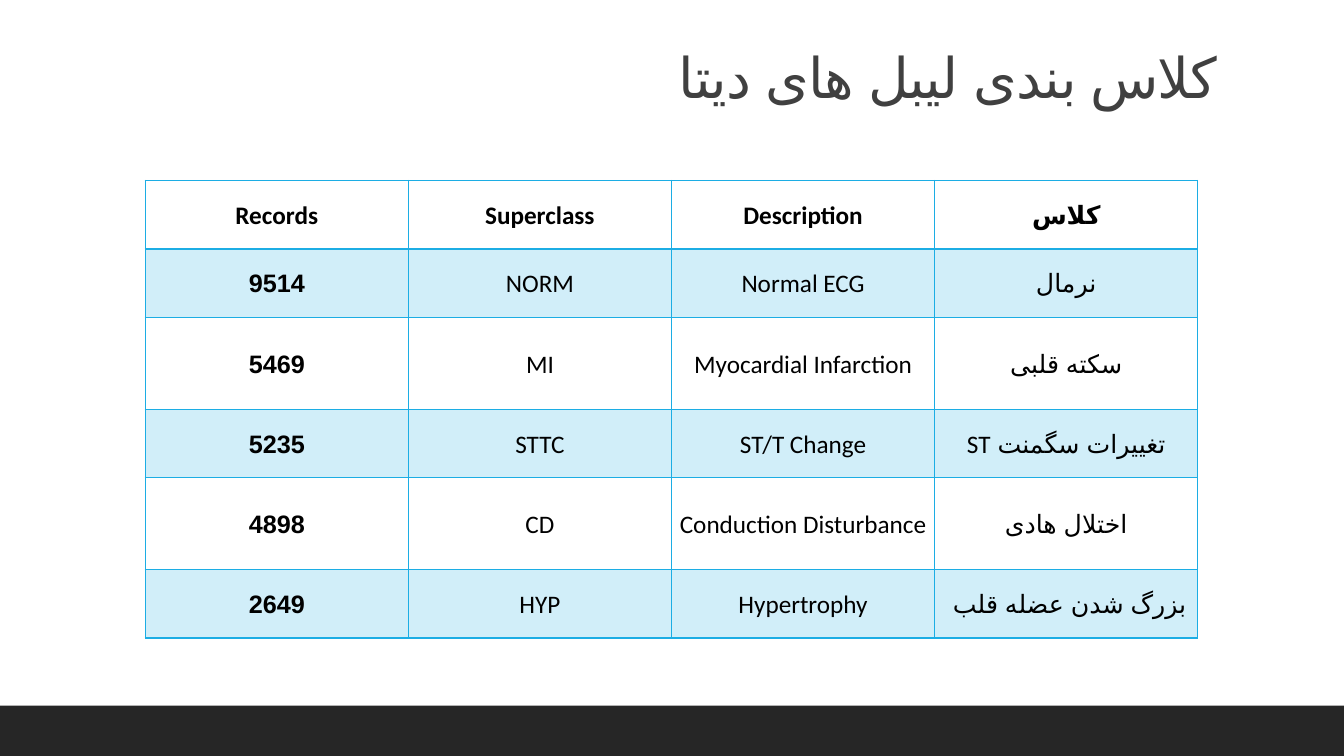
"""Build a slide with a right-to-left title and a table of ECG record classes."""
from dataclasses import dataclass

from lxml import etree
from pptx import Presentation
from pptx.dml.color import RGBColor
from pptx.enum.shapes import MSO_SHAPE
from pptx.enum.text import MSO_ANCHOR, PP_ALIGN
from pptx.oxml.ns import qn
from pptx.util import Emu, Pt

RECT = MSO_SHAPE.RECTANGLE
MIDDLE = MSO_ANCHOR.MIDDLE
CENTER, RIGHT = PP_ALIGN.CENTER, PP_ALIGN.RIGHT
EMU_PER_PX = 9144


@dataclass(frozen=True)
class Theme:
    """Colours, fonts and type sizes of the slide."""
    footer: str = "262626"
    title: str = "404040"
    text: str = "000000"
    accent: str = "1CADE4"
    band_alpha: int = 20
    font: str = "Calibri"
    complex_font: str = "Arial"
    title_size: int = 40
    cell_size: int = 18


@dataclass(frozen=True)
class Box:
    """A rectangle in px."""
    left: int
    top: int
    width: int
    height: int

    def emu(self) -> tuple[Emu, Emu, Emu, Emu]:
        """Return the rectangle in EMU."""
        return px(self.left), px(self.top), px(self.width), px(self.height)


@dataclass(frozen=True)
class Row:
    """A table row: record count, code, description, Persian name, height in px."""
    records: str
    superclass: str
    description: str
    name: str
    height: int = 68

    def texts(self) -> tuple[str, str, str, str]:
        """Return the cell texts from left to right."""
        return self.records, self.superclass, self.description, self.name


THEME = Theme()
SLIDE = Box(0, 0, 1333, 750)
FOOTER = Box(0, 700, 1333, 50)
TITLE = Box(117, 0, 1100, 159)
TABLE = Box(144, 179, 1044, 454)
ROWS = (
    Row("Records", "Superclass", "Description", "کلاس"),
    Row("9514", "NORM", "Normal ECG", "نرمال"),
    Row("5469", "MI", "Myocardial Infarction", "سکته قلبی", 91),
    Row("5235", "STTC", "ST/T Change", "تغییرات سگمنت ST"),
    Row("4898", "CD", "Conduction Disturbance", "اختلال هادی", 91),
    Row("2649", "HYP", "Hypertrophy", "بزرگ شدن عضله قلب "),
)


def px(n: int) -> Emu:
    """Turn px into EMU."""
    return Emu(n * EMU_PER_PX)


def write(tf, text: str, *, size: int, color: str, align, spacing: float,
          bold: bool = False, tracking: int = 0) -> None:
    """Write one right-to-left paragraph."""
    p = tf.paragraphs[0]
    p.alignment, p.line_spacing = align, spacing
    p._p.get_or_add_pPr().set("rtl", "1")
    r = p.add_run()
    r.text = text
    r.font.size, r.font.bold, r.font.name = Pt(size), bold, THEME.font
    r.font.color.rgb = RGBColor.from_string(color)
    rPr = r._r.get_or_add_rPr()
    rPr.set("lang", "fa-IR")
    if tracking:
        rPr.set("spc", str(tracking))
    etree.SubElement(rPr, qn("a:cs"), typeface=THEME.complex_font)


def set_borders(cell, widths: dict[str, int]) -> None:
    """Give each side of a cell an accent line of its width in points."""
    tcPr = cell._tc.get_or_add_tcPr()
    for i, (side, width) in enumerate(widths.items()):
        ln = etree.Element(qn(f"a:ln{side}"), w=str(Pt(width)))
        fill = etree.SubElement(ln, qn("a:solidFill"))
        etree.SubElement(fill, qn("a:srgbClr"), val=THEME.accent)
        tcPr.insert(i, ln)


def fill_cell(cell, banded: bool) -> None:
    """Fill a cell with the translucent band colour, or leave it clear."""
    if not banded:
        cell.fill.background()
        return
    cell.fill.solid()
    cell.fill.fore_color.rgb = RGBColor.from_string(THEME.accent)
    color = cell._tc.tcPr.find(f".//{qn('a:srgbClr')}")
    etree.SubElement(color, qn("a:alpha"), val=str(THEME.band_alpha * 1000))


def add_footer(s) -> None:
    """Draw the dark bar at the foot."""
    sp = s.shapes.add_shape(RECT, *FOOTER.emu())
    sp.shadow.inherit = False
    sp.fill.solid()
    sp.fill.fore_color.rgb = RGBColor.from_string(THEME.footer)
    sp.line.fill.background()


def add_title(s) -> None:
    """Write the slide title."""
    tf = s.shapes.add_textbox(*TITLE.emu()).text_frame
    tf.word_wrap, tf.vertical_anchor = True, MIDDLE
    write(tf, "کلاس بندی لیبل های دیتا", size=THEME.title_size,
          color=THEME.title, align=RIGHT, spacing=0.9, tracking=-50)


def add_class_table(s) -> None:
    """Draw the table of classes."""
    n_cols = len(ROWS[0].texts())
    table = s.shapes.add_table(len(ROWS), n_cols, *TABLE.emu()).table
    table.first_row = table.horz_banding = False
    for col in table.columns:
        col.width = px(TABLE.width // n_cols)
    for i, row in enumerate(ROWS):
        table.rows[i].height = px(row.height)
        widths = {"L": 1, "R": 1, "T": 2 if i == 1 else 1, "B": 2 if i == 0 else 1}
        for j, text in enumerate(row.texts()):
            cell = table.cell(i, j)
            cell.vertical_anchor = MIDDLE
            cell.margin_left = cell.margin_right = px(7)
            cell.margin_top = cell.margin_bottom = 0
            fill_cell(cell, i % 2 == 1)
            set_borders(cell, widths)
            write(cell.text_frame, text, size=THEME.cell_size, color=THEME.text,
                  align=CENTER, spacing=1.07, bold=i == 0 or j == 0)


def main() -> None:
    """Build and save the slide."""
    prs = Presentation()
    prs.slide_width, prs.slide_height = px(SLIDE.width), px(SLIDE.height)
    s = prs.slides.add_slide(prs.slide_layouts[6])
    add_footer(s)
    add_title(s)
    add_class_table(s)
    prs.save("out.pptx")


if __name__ == "__main__":
    main()
